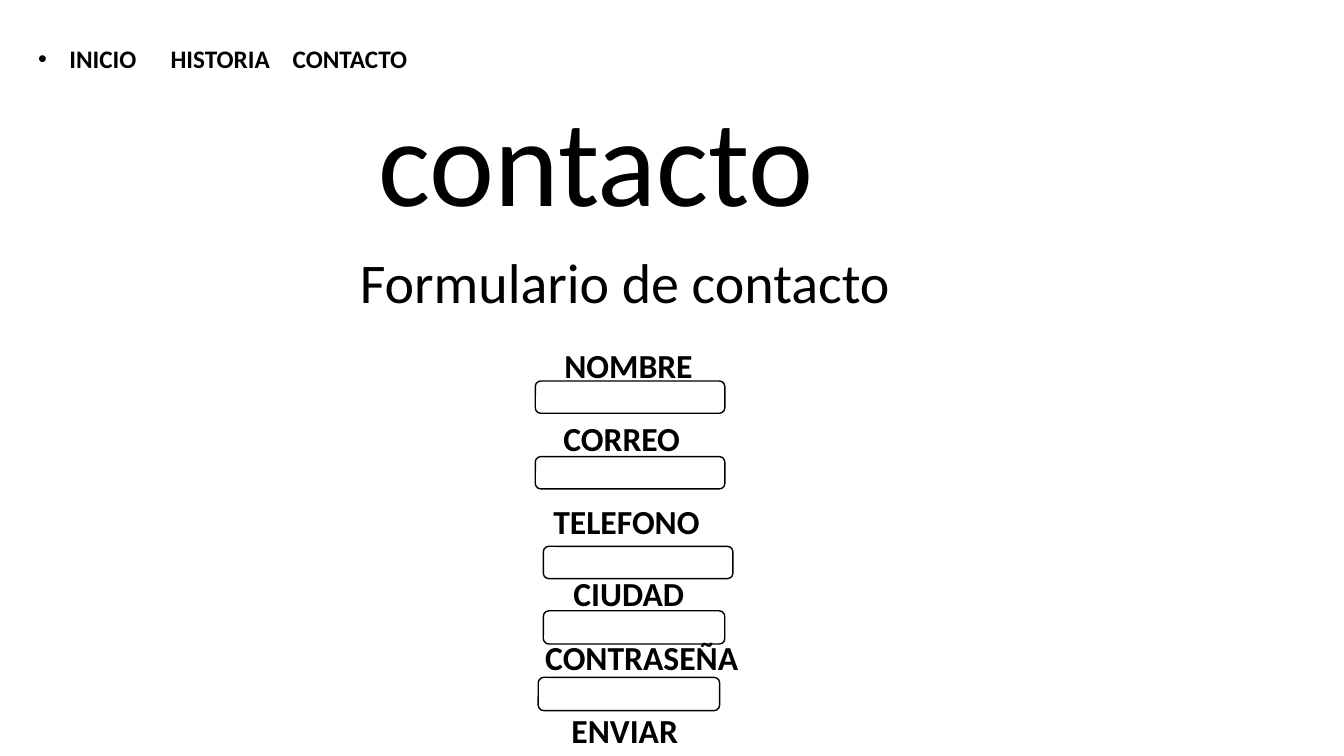
from dataclasses import dataclass

from pptx import Presentation
from pptx.dml.color import RGBColor
from pptx.enum.shapes import MSO_SHAPE
from pptx.enum.text import MSO_AUTO_SIZE
from pptx.oxml.xmlchemy import OxmlElement
from pptx.slide import Slide
from pptx.util import Emu, Inches, Pt

ROUNDED = MSO_SHAPE.ROUNDED_RECTANGLE
GROW = MSO_AUTO_SIZE.SHAPE_TO_FIT_TEXT
SLIDE_WIDTH, SLIDE_HEIGHT = Inches(13.333), Inches(7.5)


@dataclass(frozen=True)
class Theme:
    ink: RGBColor = RGBColor(0, 0, 0)
    font: str = "Calibri"
    menu_size: int = 18
    title_size: int = 88
    subtitle_size: int = 40
    label_size: int = 24
    outline: int = 1


THEME = Theme()


@dataclass(frozen=True)
class Area:
    """A rectangle in percent of the slide's width and height."""
    left: float
    top: float
    width: float
    height: float

    def to_emu(self) -> tuple[Emu, Emu, Emu, Emu]:
        return (Emu(round(SLIDE_WIDTH * self.left / 100)),
                Emu(round(SLIDE_HEIGHT * self.top / 100)),
                Emu(round(SLIDE_WIDTH * self.width / 100)),
                Emu(round(SLIDE_HEIGHT * self.height / 100)))


@dataclass(frozen=True)
class Span:
    """A run of text; tracking is its letter spacing in points."""
    text: str
    tracking: float = 0


@dataclass(frozen=True)
class Caption:
    area: Area
    spans: tuple[Span, ...]
    size: int
    bold: bool = False
    wrap: bool = False
    bullet_indent: float = 0


LABEL_HEIGHT = 6.67
WIDE, NARROW = (14.1, 4.27), (13.5, 4.4)


def label(text: str, left: float, top: float, width: float,
          wrap: bool = False) -> Caption:
    return Caption(Area(left, top, width, LABEL_HEIGHT), (Span(text),),
                   THEME.label_size, bold=True, wrap=wrap)


CAPTIONS = (
    Caption(Area(2.1, 5.07, 29.25, 5.33),
            (Span("INICIO"), Span(" ", 20.3), Span("HISTORIA"),
             Span(" ", 12.2), Span("CONTACTO")),
            THEME.menu_size, bold=True, bullet_indent=0.31),
    Caption(Area(27.45, 10.4, 46.2, 21.07), (Span("contacto"),),
            THEME.title_size, wrap=True),
    Caption(Area(26.03, 32.13, 41.33, 10.27),
            (Span("Formulario de contacto"),), THEME.subtitle_size),
    label("NOMBRE", 41.25, 44.93, 11.18),
    label("CORREO", 41.18, 54.67, 10.28),
    label("TELEFONO", 40.43, 65.6, 12.53),
    label("CIUDAD", 41.93, 75.07, 9.83),
    label("CONTRASEÑA", 39.83, 83.6, 16.58, wrap=True),
    label("ENVIAR", 41.78, 93.2, 9.53),
)

INPUTS = (
    Area(39.83, 50.4, *WIDE),
    Area(39.83, 60.4, *WIDE),
    Area(40.43, 72.27, *WIDE),
    Area(40.43, 80.8, *NARROW),
    Area(40.05, 89.6, *NARROW),
)


def draw_caption(page: Slide, caption: Caption) -> None:
    box = page.shapes.add_textbox(*caption.area.to_emu())
    frame = box.text_frame
    frame.word_wrap = caption.wrap
    frame.auto_size = GROW
    para = frame.paragraphs[0]
    if caption.bullet_indent:
        indent = Inches(caption.bullet_indent)
        properties = para._p.get_or_add_pPr()
        properties.set("marL", str(indent))
        properties.set("indent", str(-indent))
        bullet_font = OxmlElement("a:buFont")
        bullet_font.set("typeface", "Arial")
        bullet = OxmlElement("a:buChar")
        bullet.set("char", "•")
        properties.extend((bullet_font, bullet))
    for span in caption.spans:
        run = para.add_run()
        run.text = span.text
        run.font.name = THEME.font
        run.font.size = Pt(caption.size)
        run.font.bold = caption.bold
        run.font.color.rgb = THEME.ink
        if span.tracking:
            run.font._element.set("spc", str(round(span.tracking * 100)))


def draw_input(page: Slide, area: Area) -> None:
    field = page.shapes.add_shape(ROUNDED, *area.to_emu())
    field.shadow.inherit = False
    field.fill.background()
    field.line.color.rgb = THEME.ink
    field.line.width = Pt(THEME.outline)


def main() -> None:
    deck = Presentation()
    deck.slide_width, deck.slide_height = SLIDE_WIDTH, SLIDE_HEIGHT
    page = deck.slides.add_slide(deck.slide_layouts[6])
    for caption in CAPTIONS:
        draw_caption(page, caption)
    for area in INPUTS:
        draw_input(page, area)
    deck.save("out.pptx")


if __name__ == "__main__":
    main()
